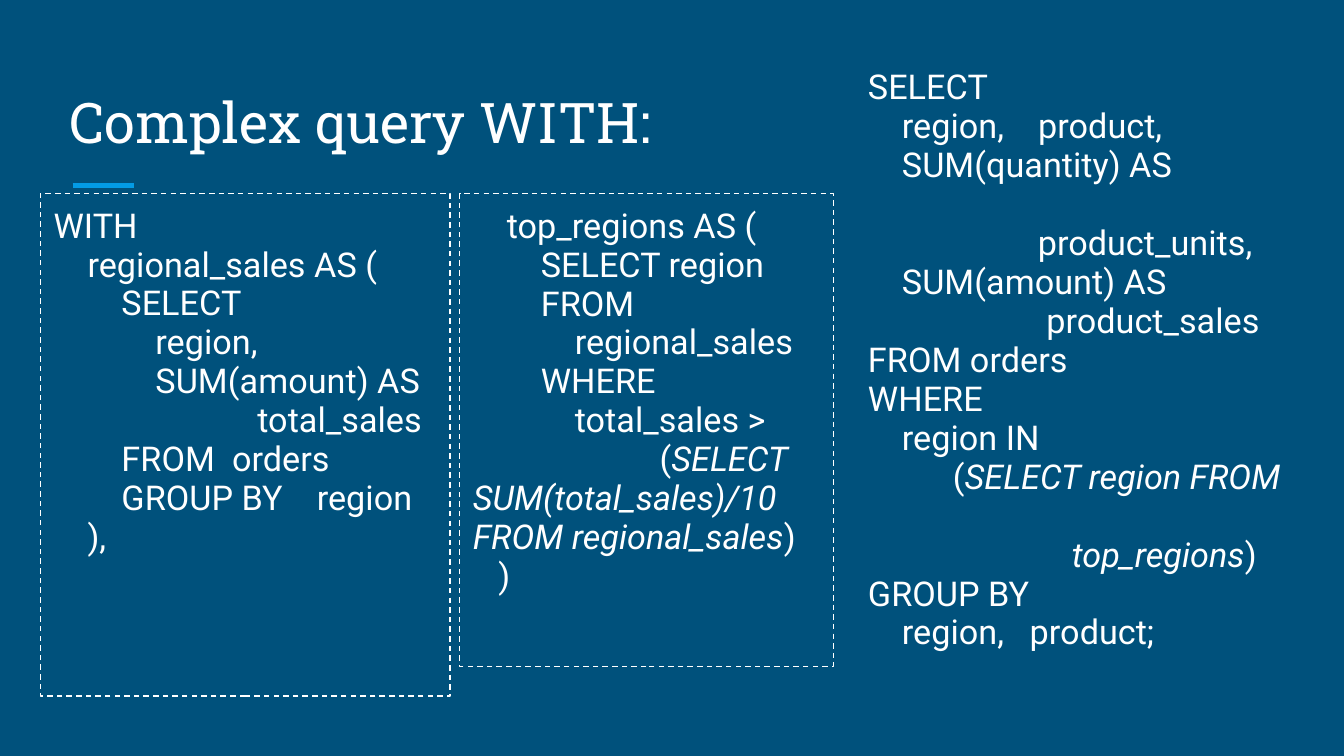
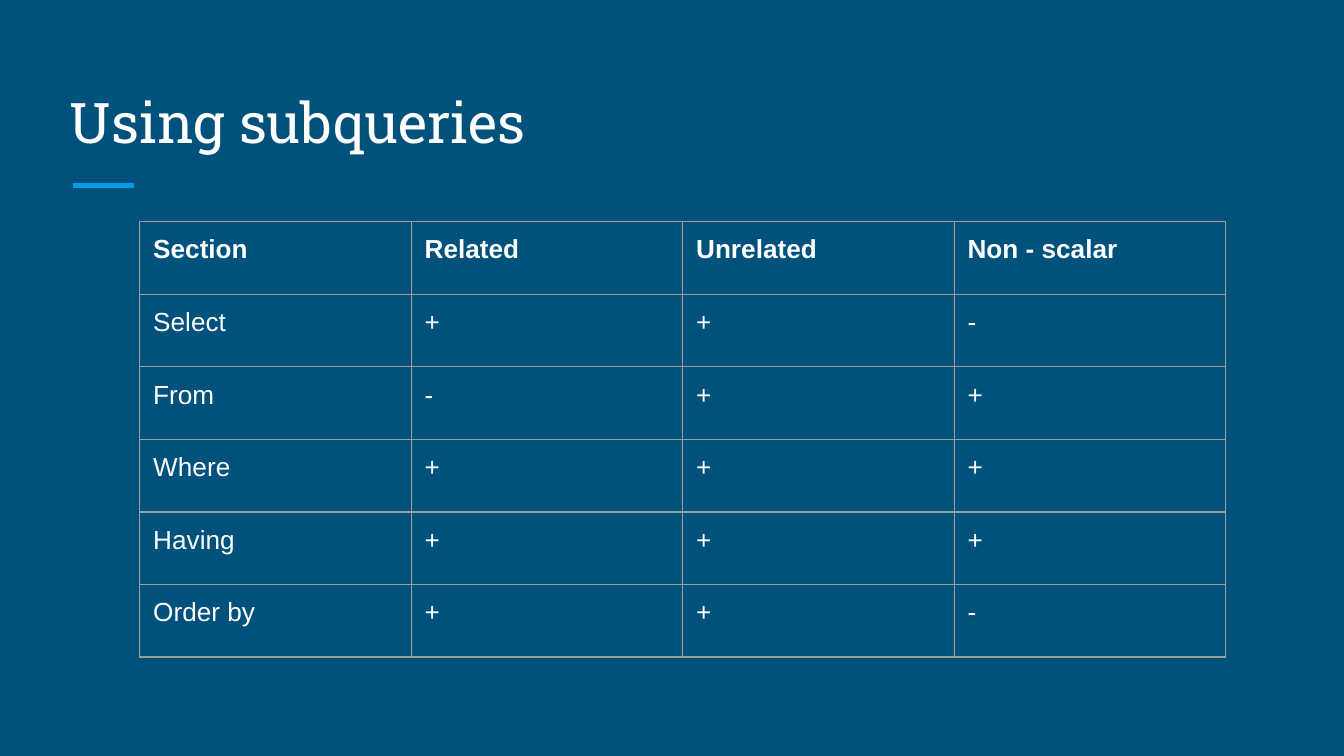
from lxml import etree
from pptx import Presentation
from pptx.dml.color import RGBColor
from pptx.enum.dml import MSO_LINE
from pptx.enum.shapes import MSO_CONNECTOR, MSO_SHAPE
from pptx.enum.text import MSO_ANCHOR, PP_ALIGN
from pptx.oxml.ns import qn
from pptx.util import Inches, Pt

STRAIGHT = MSO_CONNECTOR.STRAIGHT
RECTANGLE = MSO_SHAPE.RECTANGLE
DASH = MSO_LINE.DASH
TOP, BOTTOM = MSO_ANCHOR.TOP, MSO_ANCHOR.BOTTOM
LEFT = PP_ALIGN.LEFT

COLORS = {"background": "00517C", "text": "FFFFFF", "accent": "039BE5", "grid": "9E9E9E"}
TITLE = {"name": "Roboto Slab", "size": Pt(30)}
CODE = {"name": "Roboto", "size": Pt(18.3)}
CELL = {"name": "Arial", "size": Pt(14)}
MARGIN = Inches(0.1)
SPACE_WIDTH = Pt(4.55)
LINE_PITCH = Pt(20.9)

REGIONAL_SALES = [
    (0, "WITH"),
    (4, "regional_sales AS ("),
    (8, "SELECT"),
    (12, "region,"),
    (12, "SUM(amount) AS"),
    (24, "total_sales"),
    (8, "FROM|orders", {"gap": 2}),
    (8, "GROUP BY|region", {"gap": 4}),
    (4, "),"),
]
TOP_REGIONS = [
    (4, "top_regions AS ("),
    (8, "SELECT region"),
    (8, "FROM"),
    (12, "regional_sales"),
    (8, "WHERE"),
    (12, "total_sales >"),
    (22, "(*SELECT SUM(total_sales)/10 FROM regional_sales*)"),
    (3, ")"),
]
MAIN_QUERY = [
    (0, "SELECT"),
    (4, "region,|product,", {"gap": 4}),
    (4, "SUM(quantity) AS"),
    (20, "product_units,", {"before": LINE_PITCH}),
    (4, "SUM(amount) AS"),
    (21, "product_sales"),
    (0, "FROM orders"),
    (0, "WHERE"),
    (4, "region IN"),
    (10, "(*SELECT region FROM*"),
    (24, "*top_regions*)", {"before": LINE_PITCH}),
    (0, "GROUP BY"),
    (4, "region,|product;", {"gap": 3}),
]
SUBQUERIES = [
    ("Section", "Related", "Unrelated", "Non - scalar"),
    ("Select", "+", "+", "-"),
    ("From", "-", "+", "+"),
    ("Where", "+", "+", "+"),
    ("Having", "+", "+", "+"),
    ("Order by", "+", "+", "-"),
]


def rgb(name):
    return RGBColor.from_string(COLORS[name])


class Deck:
    def __init__(self):
        self.presentation = Presentation()
        self.presentation.slide_width = Inches(10)
        self.presentation.slide_height = Inches(10) * 9 // 16
        self.slide = None

    def add_slide(self, title):
        self.slide = self.presentation.slides.add_slide(self.presentation.slide_layouts[6])
        fill = self.slide.background.fill
        fill.solid()
        fill.fore_color.rgb = rgb("background")
        self.accent_line()
        box = self.slide.shapes.add_textbox(*map(Inches, (0.42, 0.5, 9.15, 0.75)))
        self.frame(box.text_frame, BOTTOM)
        self.run(box.text_frame.paragraphs[0], title, TITLE)

    def accent_line(self):
        line = self.slide.shapes.add_connector(STRAIGHT, *map(Inches, (0.54, 1.38, 1, 1.38)))
        line.line.color.rgb = rgb("accent")
        line.line.width = Pt(3)
        etree.SubElement(line._element.spPr, qn("a:effectLst"))

    def frame(self, target, anchor):
        settings = {"word_wrap": True, "vertical_anchor": anchor}
        settings |= {f"margin_{side}": MARGIN for side in ("left", "top", "right", "bottom")}
        for name, value in settings.items():
            setattr(target, name, value)

    def run(self, paragraph, text, style, **extra):
        run = paragraph.add_run()
        run.text = text
        for name, value in (style | extra).items():
            setattr(run.font, name, value)
        run.font.color.rgb = rgb("text")
        return run

    def code(self, lines, left, top, width, height, outlined=False):
        position = map(Inches, (left, top, width, height))
        if outlined:
            shape = self.slide.shapes.add_shape(RECTANGLE, *position)
            shape.shadow.inherit = False
            shape.fill.background()
            shape.line.color.rgb = rgb("text")
            shape.line.width = Pt(0.75)
            shape.line.dash_style = DASH
        else:
            shape = self.slide.shapes.add_textbox(*position)
        frame = shape.text_frame
        self.frame(frame, TOP)
        for index, (spaces, text, *options) in enumerate(lines):
            paragraph = frame.add_paragraph() if index else frame.paragraphs[0]
            self.code_line(paragraph, spaces, text, **(options[0] if options else {}))

    def code_line(self, paragraph, spaces, text, gap=1, before=Pt(0)):
        settings = {"alignment": LEFT, "line_spacing": 0.95, "space_before": before}
        for name, value in settings.items():
            setattr(paragraph, name, value)
        properties = paragraph._p.get_or_add_pPr()
        properties.set("marL", "0")
        properties.set("indent", str(spaces * SPACE_WIDTH))
        start, _, end = text.partition("|")
        for index, part in enumerate(start.split("*")):
            if part:
                self.run(paragraph, part, CODE, italic=index % 2 == 1)
        if end:
            space = self.run(paragraph, " ", CODE)
            spacing = Pt(SPACE_WIDTH.pt * (gap - 1)).centipoints
            space._r.get_or_add_rPr().set("spc", str(spacing))
            self.run(paragraph, end, CODE)

    def table(self, rows, left, top, column_width, row_height):
        columns = len(rows[0])
        size = (column_width * columns, row_height * len(rows))
        table = self.slide.shapes.add_table(
            len(rows), columns, *map(Inches, (left, top, *size))
        ).table
        table.first_row = table.horz_banding = False
        for row_index, row in enumerate(rows):
            for column_index, text in enumerate(row):
                cell = table.cell(row_index, column_index)
                self.frame(cell, TOP)
                self.borders(cell)
                cell.fill.background()
                paragraph = cell.text_frame.paragraphs[0]
                self.run(paragraph, text, CELL, bold=row_index == 0)

    def borders(self, cell):
        properties = cell._tc.get_or_add_tcPr()
        for side in ("lnL", "lnR", "lnT", "lnB"):
            line = etree.SubElement(properties, qn(f"a:{side}"), w=str(Pt(0.75)))
            fill = etree.SubElement(line, qn("a:solidFill"))
            etree.SubElement(fill, qn("a:srgbClr"), val=COLORS["grid"])


def main():
    deck = Deck()
    deck.add_slide("Complex query WITH:")
    deck.code(REGIONAL_SALES, 0.3, 1.44, 3.05, 3.74, outlined=True)
    deck.code(TOP_REGIONS, 3.42, 1.44, 2.78, 3.52, outlined=True)
    deck.code(MAIN_QUERY, 6.36, 0.41, 3.35, 4.55)

    deck.add_slide("Using subqueries")
    deck.table(SUBQUERIES, 1.04, 1.65, 2.02, 0.54)
    deck.presentation.save("out.pptx")


if __name__ == "__main__":
    main()
